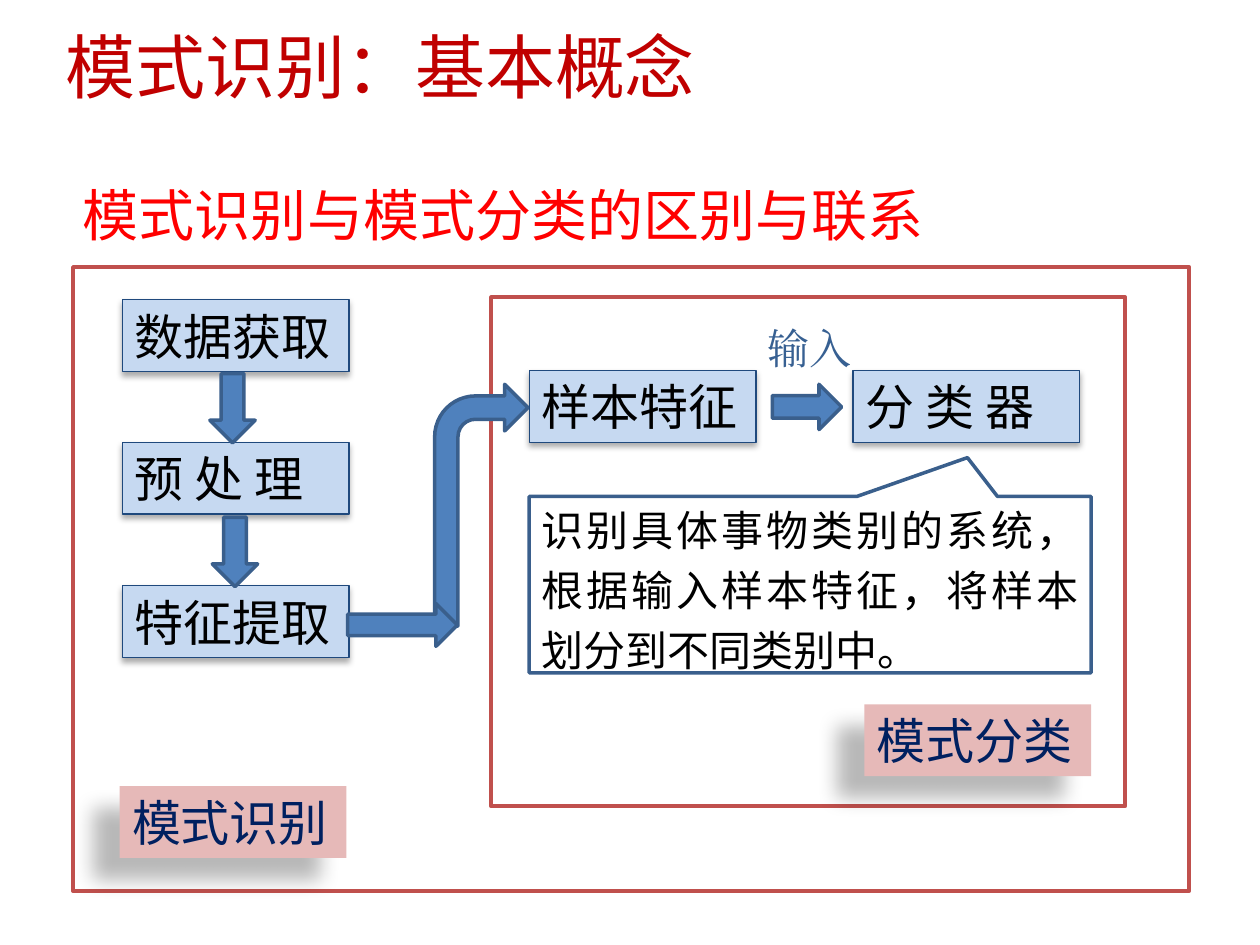
from dataclasses import dataclass
from typing import Optional

from lxml import etree
from pptx import Presentation
from pptx.dml.color import RGBColor
from pptx.enum.shapes import MSO_SHAPE
from pptx.enum.text import MSO_ANCHOR, MSO_AUTO_SIZE, PP_ALIGN
from pptx.oxml.ns import qn
from pptx.util import Inches, Pt

RECT, RIGHT_ARROW = MSO_SHAPE.RECTANGLE, MSO_SHAPE.RIGHT_ARROW
BENT_ARROW, CALLOUT = MSO_SHAPE.BENT_ARROW, MSO_SHAPE.RECTANGULAR_CALLOUT
TOP, MIDDLE = MSO_ANCHOR.TOP, MSO_ANCHOR.MIDDLE
LEFT, JUSTIFY = PP_ALIGN.LEFT, PP_ALIGN.JUSTIFY
FIT_SHAPE, NO_FIT = MSO_AUTO_SIZE.SHAPE_TO_FIT_TEXT, MSO_AUTO_SIZE.NONE

SANS_JP, SANS_SC, SERIF = "Noto Sans CJK JP", "Noto Sans CJK SC", "Times New Roman"
BLUE, BLUE_EDGE, FRAME_RED = "4F81BD", "3A5F8C", "C0504D"
BOX_W, BOX_H = 1.8, 0.57
ARROW_W, ARROW_H = 0.55, 0.36


@dataclass(frozen=True)
class Shadow:
    alpha: int
    blur: float
    distance: float
    angle: int


@dataclass(frozen=True)
class BoxStyle:
    fill: str
    text: str
    line: Optional[str]
    shadow: Shadow


@dataclass(frozen=True)
class Box:
    text: str
    left: float
    top: float
    style: BoxStyle


@dataclass(frozen=True)
class Arrow:
    left: float
    top: float
    width: float = ARROW_W
    height: float = ARROW_H
    rotation: int = 0
    kind: MSO_SHAPE = RIGHT_ARROW


STEP = BoxStyle("C6D9F1", "000000", "1F497D", Shadow(32, 3.5, 2.2, 90))
SCOPE = BoxStyle("E6B9B8", "002060", None, Shadow(28, 11.8, 19.7, 141))


def rgb(value: str) -> RGBColor:
    return RGBColor.from_string(value)


def write(shape, text: str, *, size: float, color: str, font: str = SANS_SC,
          align=JUSTIFY, spacing: float = 1.0, anchor=TOP, fit=FIT_SHAPE) -> None:
    frame = shape.text_frame
    frame.word_wrap = True
    frame.auto_size = fit
    frame.vertical_anchor = anchor
    paragraph = frame.paragraphs[0]
    paragraph.alignment = align
    paragraph.line_spacing = spacing
    run = paragraph.add_run()
    run.text = text
    run.font.size = Pt(size)
    run.font.color.rgb = rgb(color)
    run.font.name = font
    # East Asian glyphs take their own typeface entry
    etree.SubElement(run.font._element, qn("a:ea"), typeface=font)


def add_shape(slide, kind, left: float, top: float, width: float, height: float, *,
              fill: Optional[str] = None, line: Optional[str] = None,
              line_width: float = 2):
    shape = slide.shapes.add_shape(
        kind, Inches(left), Inches(top), Inches(width), Inches(height))
    shape.shadow.inherit = False
    if fill:
        shape.fill.solid()
        shape.fill.fore_color.rgb = rgb(fill)
    else:
        shape.fill.background()
    if line:
        shape.line.color.rgb = rgb(line)
        shape.line.width = Pt(line_width)
    else:
        shape.line.fill.background()
    return shape


def add_label(slide, text: str, left: float, top: float, width: float,
              height: float, **text_format) -> None:
    label = slide.shapes.add_textbox(
        Inches(left), Inches(top), Inches(width), Inches(height))
    write(label, text, **text_format)


def cast_shadow(shape, shadow: Shadow) -> None:
    effects = shape._element.spPr.find(qn("a:effectLst"))
    outer = etree.SubElement(
        effects, qn("a:outerShdw"), blurRad=str(Pt(shadow.blur)),
        dist=str(Pt(shadow.distance)), dir=str(shadow.angle * 60000),
        algn="ctr", rotWithShape="0")
    color = etree.SubElement(outer, qn("a:srgbClr"), val="000000")
    etree.SubElement(color, qn("a:alpha"), val=str(shadow.alpha * 1000))


def add_box(slide, box: Box) -> None:
    style = box.style
    shape = add_shape(slide, RECT, box.left, box.top, BOX_W, BOX_H,
                      fill=style.fill, line=style.line, line_width=0.75)
    cast_shadow(shape, style.shadow)
    write(shape, box.text, size=28, color=style.text)


def add_arrow(slide, arrow: Arrow) -> None:
    shape = add_shape(slide, arrow.kind, arrow.left, arrow.top, arrow.width,
                      arrow.height, fill=BLUE, line=BLUE_EDGE)
    shape.rotation = arrow.rotation


def main() -> None:
    deck = Presentation()
    deck.slide_width, deck.slide_height = Inches(10), Inches(7.5)
    slide = deck.slides.add_slide(deck.slide_layouts[5])

    # Title and subtitle
    title = slide.shapes.title
    title.left, title.top = Inches(0.42), Inches(0.15)
    title.width, title.height = Inches(9.16), Inches(0.72)
    title.text_frame.margin_top = Inches(0.16)
    write(title, "模式识别：基本概念", size=40, color="C00000", font=SANS_JP,
          align=LEFT, spacing=0.9, anchor=MIDDLE, fit=NO_FIT)
    add_label(slide, "模式识别与模式分类的区别与联系", 0.56, 1.12, 6.91, 0.77,
              size=32, color="FF0000", font=SANS_JP, spacing=1.5)

    # Frames: recognition encloses classification
    for frame in ((0.58, 2.12, 8.86, 4.95), (3.9, 2.36, 5.03, 4.04)):
        add_shape(slide, RECT, *frame, line=FRAME_RED, line_width=2.25)

    # Processing steps and scope names
    for box in (
        Box("数据获取", 0.97, 2.38, STEP),
        Box("预 处 理", 0.97, 3.51, STEP),
        Box("特征提取", 0.97, 4.65, STEP),
        Box("样本特征", 4.2, 2.94, STEP),
        Box("分 类 器", 6.77, 2.94, STEP),
        Box("模式分类", 6.86, 5.59, SCOPE),
        Box("模式识别", 0.95, 6.24, SCOPE),
    ):
        add_box(slide, box)

    # Flow between the steps
    for arrow in (
        Arrow(1.57, 3.06, rotation=90),
        Arrow(1.59, 4.2, rotation=90),
        Arrow(3.45, 3.05, 0.74, 1.92, kind=BENT_ARROW),
        Arrow(2.76, 4.79, 0.87, 0.34),
        Arrow(6.13, 3.05),
    ):
        add_arrow(slide, arrow)
    add_label(slide, "输入", 5.99, 2.31, 0.9, 0.63,
              size=24, color="376092", font=SERIF, spacing=1.5)

    # Explanation of the classifier
    explanation = add_shape(slide, CALLOUT, 4.2, 3.94, 4.46, 1.4,
                            fill="FFFFFF", line=BLUE_EDGE)
    explanation.adjustments[0] = 0.28
    explanation.adjustments[1] = -0.72
    write(explanation, "识别具体事物类别的系统，根据输入样本特征，将样本划分到不同类别中。",
          size=24, color="000000", spacing=1.2, anchor=MIDDLE, fit=NO_FIT)

    deck.save("out.pptx")


if __name__ == "__main__":
    main()
